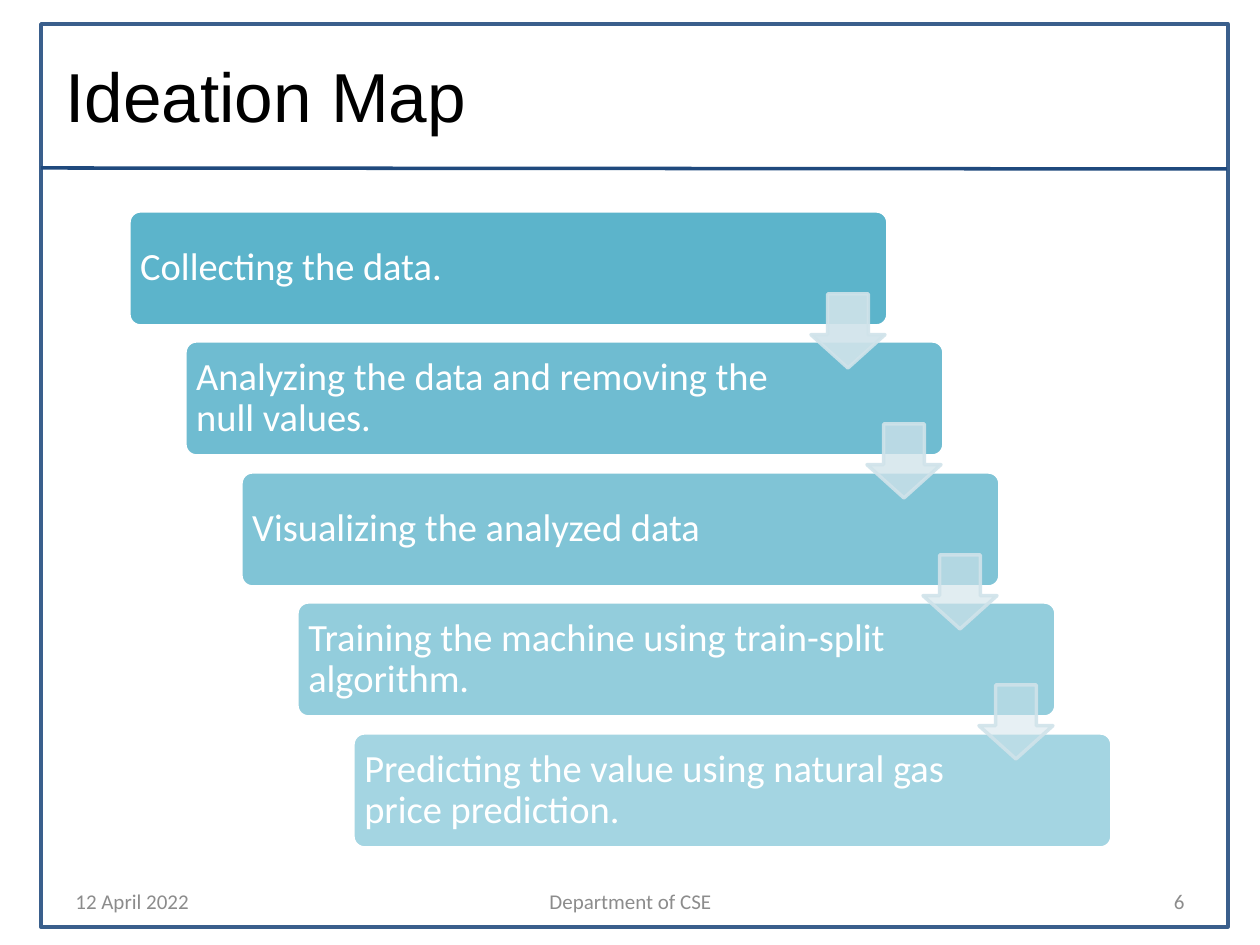
from lxml import etree
from pptx import Presentation
from pptx import util as u
from pptx.dml.color import RGBColor
from pptx.enum import shapes, text
from pptx.oxml.ns import qn

SCALE = 914400 / 126
HUES = {"frame": "3A5F8C", "rule": "1F497D", "step": "4BACC6", "arrow": "D0E3EA",
        "white": "FFFFFF", "gray": "8C8C8C", "black": "000000"}
KIND = shapes.MSO_SHAPE
SIDE = text.PP_ALIGN
STEPS = ["Collecting the data.",
         "Analyzing the data and removing the null values.",
         "Visualizing the analyzed data",
         "Training the machine using train-split algorithm.",
         "Predicting the value using natural gas price prediction."]


def px(n):
    return u.Emu(round(n * SCALE))


def hue(name):
    return RGBColor.from_string(HUES[name])


def fade(fill, pct):
    tone = fill._xPr.find(qn("a:solidFill"))[0]
    etree.SubElement(tone, qn("a:alpha")).set("val", str(pct * 1000))


class Deck:
    """Holds the style and the current slide, and draws each kind of element."""

    def __init__(self, wide, high):
        self.show = Presentation()
        self.show.slide_width, self.show.slide_height = px(wide), px(high)
        self.slide = self.show.slides.add_slide(self.show.slide_layouts[5])
        self.items = self.slide.shapes

    def words(self, shape, copy, size, tone, font="Calibri", side=SIDE.LEFT):
        frame = shape.text_frame
        frame.text = copy
        frame.word_wrap = True
        frame.auto_size = text.MSO_AUTO_SIZE.NONE
        frame.vertical_anchor = text.MSO_ANCHOR.MIDDLE
        para = frame.paragraphs[0]
        para.alignment = side
        para.font.size, para.font.name = u.Pt(size), font
        para.font.color.rgb = hue(tone)
        return frame

    def title(self, copy, x, y, w, h):
        head = self.items.title
        head.left, head.top, head.width, head.height = map(px, (x, y, w, h))
        self.words(head, copy, 39.6, "black", "Arial")

    def label(self, copy, x, y, w, h, side):
        box = self.items.add_textbox(*map(px, (x, y, w, h)))
        self.words(box, copy, 12, "gray", side=side)

    def shape(self, kind, x, y, w, h, line, fill=None, pct=100, adj=()):
        item = self.items.add_shape(kind, *map(px, (x, y, w, h)))
        item.shadow.inherit = False
        for i, part in enumerate(adj):
            item.adjustments[i] = part
        item.line.color.rgb, item.line.width = hue(line), u.Pt(2)
        if fill:
            item.fill.solid()
            item.fill.fore_color.rgb = hue(fill)
            fade(item.fill, pct)
        else:
            item.fill.background()
        return item

    def rule(self, x, y, far, low):
        line = self.items.add_connector(shapes.MSO_CONNECTOR.STRAIGHT, *map(px, (x, y, far, low)))
        line.line.color.rgb, line.line.width = hue("rule"), u.Pt(2)
        etree.SubElement(line._element.spPr, qn("a:effectLst"))

    def step(self, copy, x, y, pct):
        box = self.shape(KIND.ROUNDED_RECTANGLE, x, y, 759, 115, "white", "step", pct, [0.1])
        frame = self.words(box, copy, 22, "white")
        frame.margin_left, frame.margin_right = px(8), px(139)
        frame.paragraphs[0].line_spacing = 0.9

    def arrow(self, x, y, pct):
        item = self.shape(KIND.DOWN_ARROW, x, y, 74, 74, "arrow", "arrow", pct, [0.55, 0.45])
        fade(item.line.fill, 90)


def main():
    deck = Deck(1260, 945)
    deck.shape(KIND.RECTANGLE, 41, 24, 1187, 903, "frame")
    deck.rule(41, 168, 1227, 169)
    deck.label("12 April 2022", 63, 876, 294, 50, SIDE.LEFT)
    deck.label("Department of CSE", 431, 876, 399, 50, SIDE.CENTER)
    deck.label("6", 903, 876, 294, 50, SIDE.RIGHT)
    deck.title("Ideation Map", 53, 53, 1134, 84)
    spots = [(129 + 56 * i, 211 + 261 * i // 2) for i in range(len(STEPS))]
    for i, (copy, (x, y)) in enumerate(zip(STEPS, spots)):
        deck.step(copy, x, y, 90 - 10 * i)
    for i, (x, y) in enumerate(spots[:-1]):
        deck.arrow(x + 682, y + 83, round(90 - 40 * i / 3))
    deck.show.save("out.pptx")


if __name__ == "__main__":
    main()
